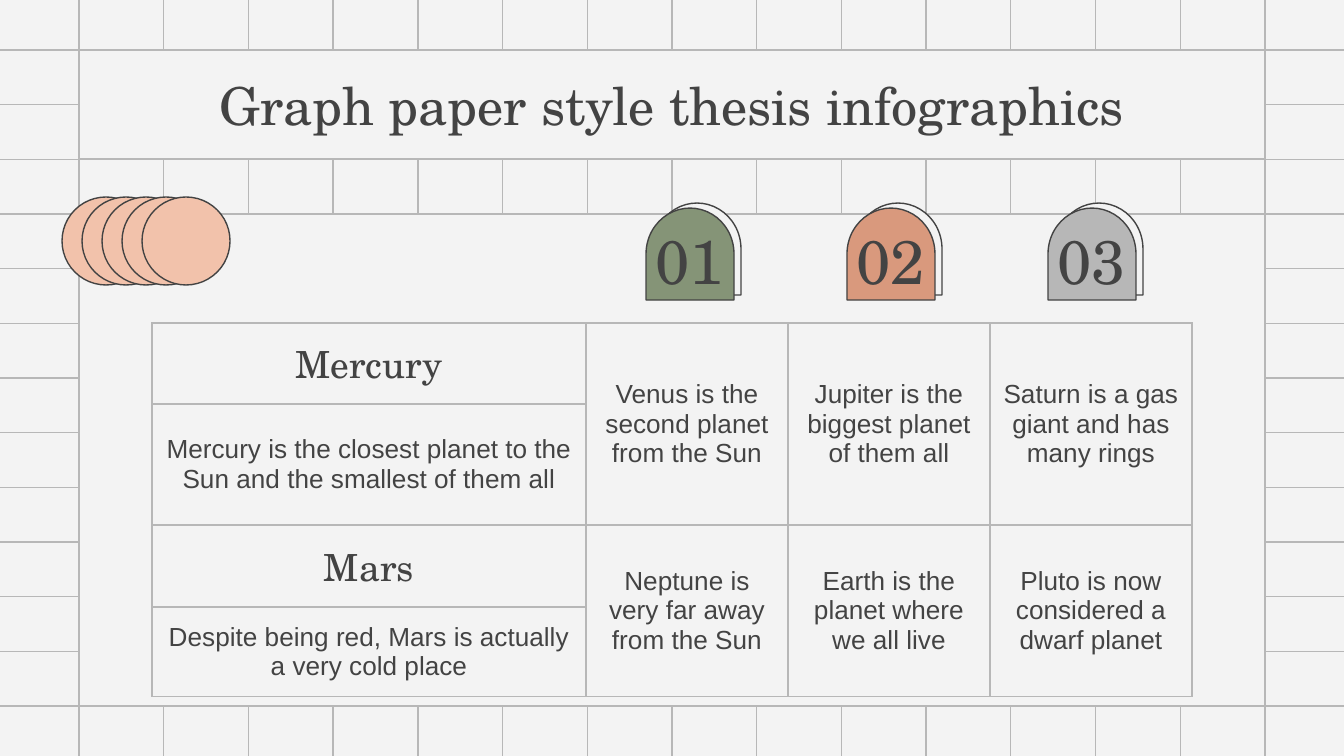
"""Build a graph-paper slide with a planet table under numbered arches."""
from lxml import etree
from pptx import Presentation
from pptx import util as u
from pptx.dml.color import RGBColor
from pptx.enum import shapes, text
from pptx.oxml import ns

PAPER = RGBColor(0xF3, 0xF3, 0xF3)
GRID = RGBColor(0xB7, 0xB7, 0xB7)
INK = RGBColor(0x43, 0x43, 0x43)
GREEN = RGBColor(0x85, 0x94, 0x77)
ORANGE = RGBColor(0xD9, 0x99, 0x7D)
PEACH = RGBColor(0xF2, 0xC2, 0xAB)
SERIF, SANS = "TeX Gyre Schola", "Arial"
PX = 9144000 / 1344
HAIR = u.Pt(0.75)
LEFT, TOP, WIDE, HIGH = 79, 50, 1186, 656
COLUMNS, ROWS = 14, 12


def add_figure(kind, place, fill, line):
    figure = page.shapes.add_shape(kind, *[round(n * PX) for n in place])
    figure.shadow.inherit = False
    figure.fill.solid()
    figure.fill.fore_color.rgb = fill
    figure.line.color.rgb = line
    figure.line.width = HAIR
    return figure


def write(holder, words, face, size, after=None):
    for side in ("left", "right", "top", "bottom"):
        setattr(holder, "margin_" + side, u.Inches(0.1))
    holder.vertical_anchor = text.MSO_ANCHOR.MIDDLE
    holder.word_wrap = True
    frame = getattr(holder, "text_frame", holder)
    para = frame.paragraphs[0]
    para.alignment = text.PP_ALIGN.CENTER
    para.space_after = after
    span = para.add_run()
    span.text = words
    span.font.color.rgb = INK
    look = {"name": face, "size": u.Pt(size), "bold": False}
    for name, value in look.items():
        setattr(span.font, name, value)


deck = Presentation()
deck.slide_width, deck.slide_height = round(1344 * PX), round(756 * PX)
page = deck.slides.add_slide(deck.slide_layouts[5])
page.background.fill.solid()
page.background.fill.fore_color.rgb = PAPER

rules = []
for i in range(COLUMNS + 1):
    x = LEFT + i * WIDE / COLUMNS
    rules.append((x, -4, x, 760))
for i in range(ROWS + 1):
    y = TOP + i * HIGH / ROWS
    rules.append((-5, y, 1349, y))
for ends in rules:
    rule = page.shapes.add_connector(
        shapes.MSO_CONNECTOR.STRAIGHT, *[round(n * PX) for n in ends])
    rule.line.color.rgb = GRID
    rule.line.width = HAIR
    etree.SubElement(rule._element.spPr, ns.qn("a:effectLst"))

add_figure(shapes.MSO_SHAPE.RECTANGLE, (LEFT, 214, WIDE, 492), PAPER, GRID)

title = page.shapes.title
page.shapes._spTree.append(title._element)
title_place = {"left": LEFT, "top": TOP, "width": WIDE, "height": 109}
for name, value in title_place.items():
    setattr(title, name, round(value * PX))
title.fill.solid()
title.fill.fore_color.rgb = PAPER
title.line.color.rgb = GRID
title.line.width = HAIR
title.text_frame.auto_size = text.MSO_AUTO_SIZE.NONE
write(title.text_frame, "Graph paper style thesis infographics", SERIF, 28)

for i, colour in enumerate((GREEN, ORANGE, GRID)):
    shift = i * 201
    for x, y, fill in ((651, 205, PAPER), (644, 210, colour)):
        arch = add_figure(shapes.MSO_SHAPE.FLOWCHART_DELAY,
                          (x + shift, y, 92, 88), fill, INK)
        arch.rotation = 270
    place = (629 + shift, 230, 121, 60)
    box = page.shapes.add_textbox(*[round(n * PX) for n in place])
    write(box.text_frame, f"0{i + 1}", SERIF, 33)

widths, heights = (434, 202, 202, 202), (81, 115, 82, 86)
place = (152, 323, sum(widths), sum(heights))
table = page.shapes.add_table(4, 4, *[round(n * PX) for n in place]).table
table.first_row = table.horz_banding = False
for column, width in zip(table.columns, widths):
    column.width = round(width * PX)
for row, height in zip(table.rows, heights):
    row.height = round(height * PX)
for cell in table.iter_cells():
    props = cell._tc.get_or_add_tcPr()
    for edge in ("a:lnL", "a:lnR", "a:lnT", "a:lnB"):
        border = etree.SubElement(props, ns.qn(edge), w=str(HAIR))
        solid = etree.SubElement(border, ns.qn("a:solidFill"))
        etree.SubElement(solid, ns.qn("a:srgbClr"), val=str(GRID))
    cell.fill.background()

planets = [
    ("Mercury",
     "Mercury is the closest planet to the Sun and the smallest of them all",
     12,
     ("Venus is the second planet from the Sun",
      "Jupiter is the biggest planet of them all",
      "Saturn is a gas giant and has many rings")),
    ("Mars",
     "Despite being red, Mars is actually a very cold place",
     0,
     ("Neptune is very far away from the Sun",
      "Earth is the planet where we all live",
      "Pluto is now considered a dwarf planet")),
]
for i, (planet, summary, after, facts) in enumerate(planets):
    top = 2 * i
    write(table.cell(top, 0), planet, SERIF, 20)
    write(table.cell(top + 1, 0), summary, SANS, 14, u.Pt(after))
    for j, fact in enumerate(facts, 1):
        cell = table.cell(top, j)
        cell.merge(table.cell(top + 1, j))
        write(cell, fact, SANS, 14, u.Pt(12))

for i in range(5):
    add_figure(shapes.MSO_SHAPE.OVAL, (62 + i * 20, 197, 88, 88), PEACH, INK)

deck.save("out.pptx")
